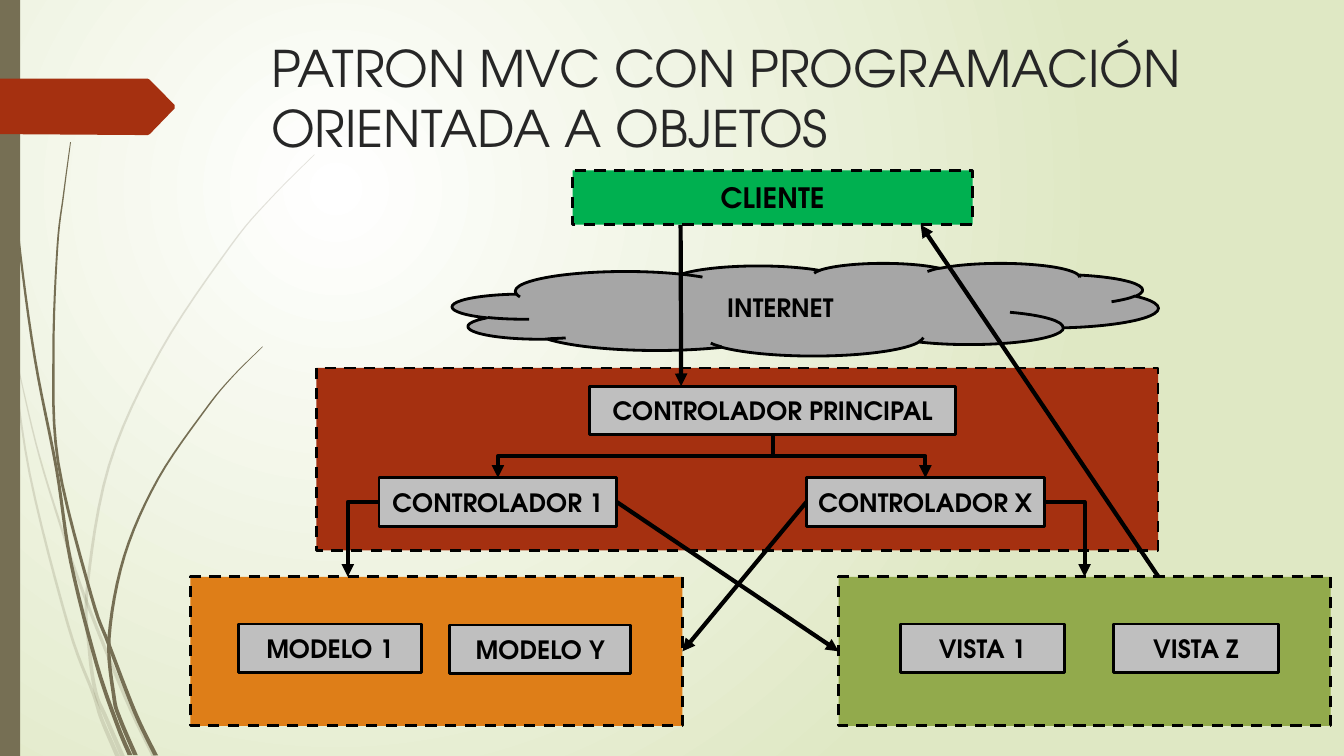
"""Build a slide that shows the MVC pattern with object-oriented programming."""
from lxml.etree import SubElement as Sub
from pptx import Presentation
from pptx.dml.color import RGBColor as RGB
from pptx.enum.dml import MSO_LINE as Dash
from pptx.enum.shapes import MSO_CONNECTOR as Conn, MSO_SHAPE as Kind
from pptx.enum.text import MSO_ANCHOR as Anchor, PP_ALIGN as Align
from pptx.oxml.ns import qn
from pptx.util import Pt

FONT = "TeX Gyre Adventor"
WHITE, PALE = RGB(255, 255, 255), RGB(0xDF, 0xE8, 0xC4)
BLACK, INK = RGB(0, 0, 0), RGB(0x26, 0x26, 0x26)
STEM, RUST = RGB(0x76, 0x6F, 0x54), RGB(0xA5, 0x30, 0x10)
ORANGE, OLIVE = RGB(0xDE, 0x7E, 0x18), RGB(0x92, 0xAA, 0x4C)
GREEN, CLOUD, GREY = RGB(0, 0xB0, 0x50), RGB(0xA6, 0xA6, 0xA6), RGB(0xBF, 0xBF, 0xBF)

TITLE = "PATRON MVC CON PROGRAMACIÓN ORIENTADA A OBJETOS"
ZONES = {
    "models": (136, 412, 351.5, 106.5, ORANGE),
    "views": (599, 412, 351.5, 106.5, OLIVE),
    "control": (226, 262.8, 601.2, 130.3, RUST),
}
CLIENT = (409, 121.7, 285.8, 38.9)
NET = (323.3, 187.9, 504, 66.2)
HIGH = 34.6
NODES = {
    "CONTROLADOR PRINCIPAL": (421.2, 275.8, 261.4),
    "CONTROLADOR 1": (270.7, 341.3, 169.9),
    "CONTROLADOR X": (576, 341.3, 169.9),
    "MODELO 1": (170.6, 445.7, 130.3),
    "MODELO Y": (321.1, 446.4, 129.6),
    "VISTA 1": (643, 445.7, 117.4),
    "VISTA Z": (795.6, 445.7, 117.4),
}
LINKS = [
    ("CLIENTE", 0.27, 1, "CONTROLADOR PRINCIPAL", 0.25, 0, "line"),
    ("CONTROLADOR 1", 1, 0.5, "views", 0, 0.5, "line"),
    ("CONTROLADOR X", 0, 0.5, "models", 1, 0.5, "line"),
    ("views", 0.65, 0, "CLIENTE", 0.87, 1, "line"),
    ("CONTROLADOR PRINCIPAL", 0.5, 1, "CONTROLADOR 1", 0.5, 0, "fork"),
    ("CONTROLADOR PRINCIPAL", 0.5, 1, "CONTROLADOR X", 0.5, 0, "fork"),
    ("CONTROLADOR 1", 0, 0.5, "models", 0.32, 0, "bend"),
    ("CONTROLADOR X", 1, 0.5, "views", 0.5, 0, "bend"),
]
TAG = [(0, 56.2), (105.5, 56.2), (107, 57), (124.7, 75), (124.7, 77.5),
       (107, 95.8), (105.5, 96.5), (0, 95.8)]
FAINT = [
    [(0, 209), (7, 240), (21.2, 338.4), (48.6, 446.4), (66.6, 495.4),
     (72.7, 514), (83.9, 540)],
    [(10, 248.4), (25.9, 317.5), (43.2, 375), (60.8, 427), (90, 499),
     (109.8, 540)],
    [(224.6, 110.5), (193, 142.2), (164.5, 176), (114.5, 251), (78, 332.3),
     (62.3, 420.5), (64, 465), (68.4, 494.6), (75, 511), (87.5, 540)],
]
SOLID = [
    [(2.5, 0), (3.2, 34.6), (5.4, 79), (13, 167.8), (24.8, 255.6),
     (40.3, 334.8), (50.4, 400.7), (68.8, 473.8), (84, 518.4), (92.9, 539.5)],
    [(50.4, 101.5), (45.4, 139), (41, 176.4), (38.2, 251.3), (41.5, 330),
     (65.2, 425.5), (78, 461), (96.5, 509), (111.2, 539.5)],
    [(187.6, 247.7), (166.3, 268.9), (147.2, 292), (113, 342), (88.9, 397),
     (78, 455), (81.4, 497.5), (85.7, 513.4), (96.8, 539.5)],
]

deck = Presentation()
deck.slide_width, deck.slide_height = Pt(960), Pt(540)
slide = deck.slides.add_slide(deck.slide_layouts[6])
shapes = slide.shapes
spots = {}


def paint(shape, color):
    shape.shadow.inherit = False
    shape.fill.solid()
    shape.fill.fore_color.rgb = color
    shape.line.fill.background()


def outline(shape, width, dash=None):
    shape.line.color.rgb = BLACK
    shape.line.width = Pt(width)
    if dash:
        shape.line.dash_style = dash


def write(shape, text, size, color, bold=False):
    frame = shape.text_frame
    frame.word_wrap = True
    run = frame.paragraphs[0].add_run()
    run.text = text
    font = run.font
    font.name, font.size, font.bold = FONT, Pt(size), bold
    font.color.rgb = color
    return frame


def box(name, rect, color, size=0, dash=None, kind=Kind.RECTANGLE):
    shape = shapes.add_shape(kind, *map(Pt, rect))
    paint(shape, color)
    outline(shape, 2, dash)
    spots[name] = rect
    if size:
        frame = write(shape, name, size, BLACK, True)
        frame.margin_left = frame.margin_right = 0
        frame.vertical_anchor = Anchor.MIDDLE
        frame.paragraphs[0].alignment = Align.CENTER


def trace(points, color):
    dots = [(Pt(x), Pt(y)) for x, y in points]
    pen = shapes.build_freeform(*dots[0])
    pen.add_line_segments(dots[1:], close=True)
    shape = pen.convert_to_shape()
    paint(shape, color)
    return shape


def smooth(points, steps=6):
    ends = [points[0], *points, points[-1]]
    curve = []
    for a, b, c, d in zip(ends, ends[1:], ends[2:], ends[3:]):
        for i in range(steps):
            t = i / steps
            curve.append(tuple(
                q + t * (r - p) / 2 + t**2 * (2 * p - 5 * q + 4 * r - s) / 2
                + t**3 * (3 * q - p - 3 * r + s) / 2
                for p, q, r, s in zip(a, b, c, d)))
    return curve + [points[-1]]


def blade(points):
    curve = smooth(points)
    half = [0.3 + 1.4 * i / len(curve) for i in range(len(curve))]
    left = [(x - w, y) for (x, y), w in zip(curve, half)]
    right = [(x + w, y) for (x, y), w in zip(curve, half)]
    return trace(left + right[::-1], STEM)


def spot(name, across, down):
    x, y, wide, high = spots[name]
    return x + wide * across, y + high * down


def link(start, end, kind):
    (ax, ay), (bx, by) = start, end
    if kind == "fork":
        mx, my = (ax + bx) / 2, (ay + by) / 2
        dx, dy = abs(bx - ax) / 2, (by - ay) / 2
        ends = mx - dy, my - dx, mx + dy, my + dx
    else:
        ends = ax, ay, bx, by
    style = Conn.STRAIGHT if kind == "line" else Conn.ELBOW
    line = shapes.add_connector(style, *map(Pt, ends))
    outline(line, 3)
    props = line._element.spPr
    if kind == "fork":
        props.xfrm.set("rot", "5400000" if bx < ax else "16200000")
        props.xfrm.set("flipH", "0" if bx < ax else "1")
    if kind == "bend":
        props.find(qn("a:prstGeom")).set("prst", "bentConnector2")
    Sub(props.find(qn("a:ln")), qn("a:tailEnd"), type="triangle")
    Sub(props, qn("a:effectLst"))


back = slide.background.fill
back.gradient()
for stop, tint in zip(back.gradient_stops, (WHITE, PALE)):
    stop.color.rgb = tint
lin = next(slide._element.iter(qn("a:lin")))
grad = lin.getparent()
grad.remove(lin)
glow = Sub(grad, qn("a:path"), path="circle")
Sub(glow, qn("a:fillToRect"), l="50000", t="50000", r="100000", b="100000")

for points in FAINT:
    tint = next(blade(points)._element.spPr.iter(qn("a:srgbClr")))
    Sub(tint, qn("a:alpha"), val="20000")
for points in SOLID:
    blade(points)
paint(shapes.add_shape(Kind.RECTANGLE, 0, 0, Pt(14.4), Pt(540)), STEM)
trace(TAG, RUST)
write(shapes.add_textbox(Pt(186.5), Pt(23), Pt(730.8), Pt(100.8)), TITLE, 36, INK)

box("CLIENTE", CLIENT, GREEN, 20, Dash.DASH)
box("INTERNET", NET, CLOUD, 18, kind=Kind.CLOUD)
for name, (*rect, color) in ZONES.items():
    box(name, rect, color, dash=Dash.DASH)
for name, rect in NODES.items():
    box(name, (*rect, HIGH), GREY, 18)
for a, ax, ay, b, bx, by, kind in LINKS:
    link(spot(a, ax, ay), spot(b, bx, by), kind)

deck.save("out.pptx")
